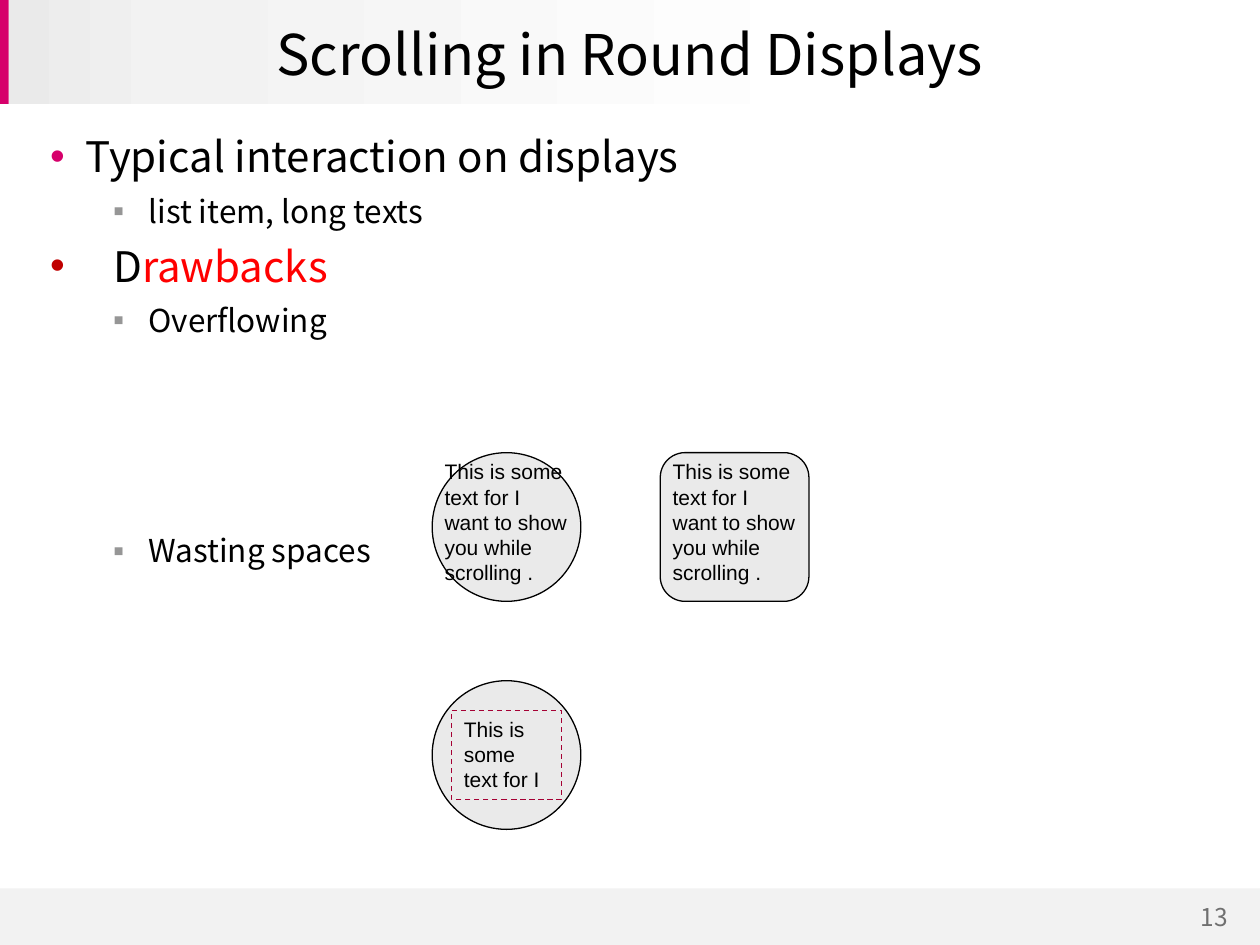
"""Build the slide on scrolling in round displays."""
from copy import deepcopy
from dataclasses import dataclass

from lxml import etree
from pptx import Presentation
from pptx.dml.color import RGBColor
from pptx.enum.dml import MSO_LINE
from pptx.enum.shapes import MSO_SHAPE
from pptx.enum.text import MSO_ANCHOR, PP_ALIGN
from pptx.oxml.ns import qn
from pptx.util import Inches, Pt

RECT, ROUND_RECT, OVAL = MSO_SHAPE.RECTANGLE, MSO_SHAPE.ROUNDED_RECTANGLE, MSO_SHAPE.OVAL
LEFT, CENTER = PP_ALIGN.LEFT, PP_ALIGN.CENTER
TOP, MIDDLE = MSO_ANCHOR.TOP, MSO_ANCHOR.MIDDLE
DASH = MSO_LINE.DASH
WIDTH, HEIGHT = 10, 7.5
SANS, ARIAL = "Noto Sans CJK KR", "Arial"
BLACK, GREY, PINK = "000000", "EAEAEA", "D6006B"
GRID_LEFT, GRID_TOP, GRID_STEP, DISPLAY = 0.343, 0.479, 1.81, 1.18
SHORT_TEXT = "This is some text for I"
LONG_TEXT = f"{SHORT_TEXT} want to show you while scrolling ."


@dataclass
class Box:
    """Hold a rectangle as shares of the slide's width and height."""
    x: float
    y: float
    w: float
    h: float

    def emu(self) -> tuple:
        """Return left, top, width and height as lengths."""
        return (Inches(self.x * WIDTH), Inches(self.y * HEIGHT),
                Inches(self.w * WIDTH), Inches(self.h * HEIGHT))

    def inset(self, dx: float, dy: float) -> "Box":
        """Shrink the box on each side by shares of its own size."""
        return Box(self.x + self.w * dx, self.y + self.h * dy,
                   self.w * (1 - 2 * dx), self.h * (1 - 2 * dy))


@dataclass
class Bullet:
    """Describe a bulleted paragraph as pairs of text and colour."""
    runs: list
    level: int
    color: str
    margin: float
    indent: float = 0.28
    before: float = 6


@dataclass
class Display:
    """Describe a display by its outline, text and place in the grid."""
    shape: int
    col: int
    row: int
    framed: bool = False


BULLETS = [
    Bullet([("Typical interaction on displays", BLACK)], 0, PINK, 0.38),
    Bullet([("list item, long texts", BLACK)], 1, "969696", 0.88),
    Bullet([("D", BLACK), ("rawbacks", "FF0000")], 0, "C00000", 0.6, 0.5),
    Bullet([("Overflowing", BLACK)], 1, "969696", 0.88),
    Bullet([("Wasting spaces", BLACK)], 1, "969696", 0.88, before=110),
]
DISPLAYS = [Display(OVAL, 0, 0), Display(ROUND_RECT, 1, 0), Display(OVAL, 0, 1, True)]


def rgb(value: str) -> RGBColor:
    """Turn a hex string into a colour."""
    return RGBColor.from_string(value)


def add_shape(s, kind: int, box: Box, fill: str = "", line: str = ""):
    """Add a preset shape with an optional fill and thin outline."""
    sp = s.shapes.add_shape(kind, *box.emu())
    sp.shadow.inherit = False
    if fill:
        sp.fill.solid()
        sp.fill.fore_color.rgb = rgb(fill)
    else:
        sp.fill.background()
    if line:
        sp.line.color.rgb = rgb(line)
        sp.line.width = Pt(0.75)
    else:
        sp.line.fill.background()
    return sp


def set_text(sp, text: str, size: float, font: str, color: str = BLACK,
             align: int = LEFT, anchor: int = TOP, wrap: bool = True) -> None:
    """Write one paragraph into a shape."""
    tf = sp.text_frame
    tf.word_wrap = wrap
    tf.vertical_anchor = anchor
    p = tf.paragraphs[0]
    p.text = text
    p.alignment = align
    p.font.size, p.font.name = Pt(size), font
    p.font.color.rgb = rgb(color)


def add_text(s, box: Box, *args, **kwargs) -> None:
    """Add a text box with one paragraph."""
    set_text(s.shapes.add_textbox(*box.emu()), *args, **kwargs)


def add_gradient(s, box: Box, stops: list) -> None:
    """Add a band that fades from left to right."""
    fill = add_shape(s, RECT, box).fill
    fill.gradient()
    fill.gradient_angle = 0
    gs_list = fill._fill._gradFill.find(qn("a:gsLst"))
    gs_list.append(deepcopy(gs_list[-1]))
    for gs, (position, color) in zip(gs_list, stops):
        gs.set("pos", str(position * 1000))
        for child in list(gs):
            gs.remove(child)
        etree.SubElement(gs, qn("a:srgbClr")).set("val", color)


def add_bullet(p, bullet: Bullet) -> None:
    """Write a bulleted paragraph."""
    p.level = bullet.level
    p.space_before = Pt(bullet.before)
    p.font.size, p.font.name = Pt((24, 18)[bullet.level]), SANS
    for text, color in bullet.runs:
        r = p.add_run()
        r.text = text
        r.font.color.rgb = rgb(color)
    pPr = p._p.get_or_add_pPr()
    pPr.set("marL", str(Inches(bullet.margin)))
    pPr.set("indent", str(-Inches(bullet.indent)))
    mark = etree.Element(qn("a:buClr"))
    etree.SubElement(mark, qn("a:srgbClr")).set("val", bullet.color)
    font = etree.Element(qn("a:buFont"), typeface=ARIAL)
    char = etree.Element(qn("a:buChar"), char="•▪"[bullet.level])
    at = pPr.index(pPr.find(qn("a:defRPr")))
    pPr[at:at] = [mark, font, char]


def add_display(s, display: Display) -> None:
    """Draw a display with overflowing or framed text."""
    box = Box(GRID_LEFT + display.col * GRID_STEP / WIDTH,
              GRID_TOP + display.row * GRID_STEP / HEIGHT,
              DISPLAY / WIDTH, DISPLAY / HEIGHT)
    add_shape(s, display.shape, box, GREY, BLACK)
    if display.framed:
        sp = add_shape(s, RECT, box.inset(0.13, 0.2), line="A50034")
        sp.line.dash_style = DASH
        set_text(sp, SHORT_TEXT, 12, ARIAL)
    else:
        add_text(s, box, LONG_TEXT, 12, ARIAL)


def main() -> None:
    """Build and save the slide."""
    prs = Presentation()
    prs.slide_width, prs.slide_height = Inches(WIDTH), Inches(HEIGHT)
    s = prs.slides.add_slide(prs.slide_layouts[6])
    add_shape(s, RECT, Box(0, 0.94, 1, 0.06), "F2F2F2")
    add_gradient(s, Box(0.007, 0, 0.993, 0.11), [(0, GREY), (13, "F2F2F2"), (67, "FFFFFF")])
    add_shape(s, RECT, Box(0, 0, 0.007, 0.11), PINK)
    add_text(s, Box(0.929, 0.948, 0.069, 0.045), "13", 14, SANS, "707070", CENTER, wrap=False)
    add_text(s, Box(0.02, 0.011, 0.96, 0.09), "Scrolling in Round Displays", 32, SANS,
             align=CENTER, anchor=MIDDLE)
    tf = s.shapes.add_textbox(*Box(0.02, 0.132, 0.961, 0.797).emu()).text_frame
    tf.word_wrap = True
    for i, bullet in enumerate(BULLETS):
        add_bullet(tf.add_paragraph() if i else tf.paragraphs[0], bullet)
    for display in DISPLAYS:
        add_display(s, display)
    prs.save("out.pptx")


if __name__ == "__main__":
    main()
